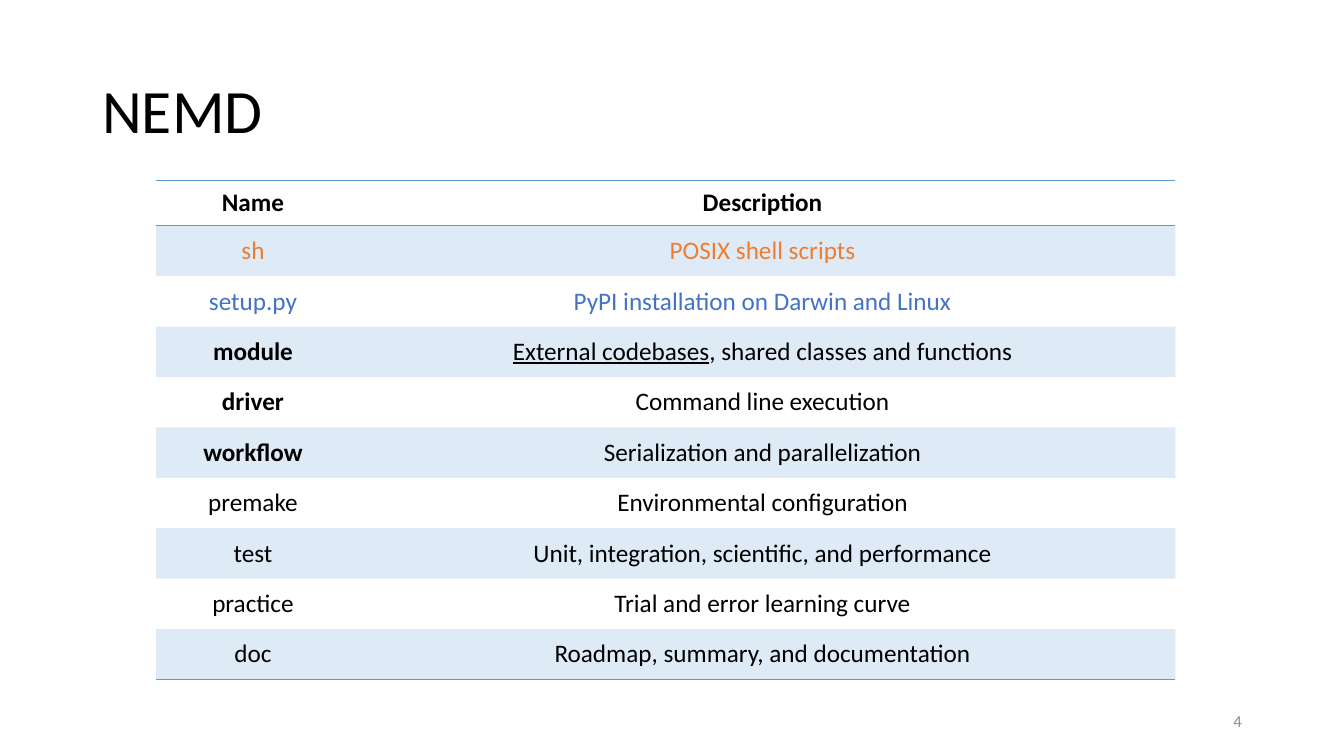
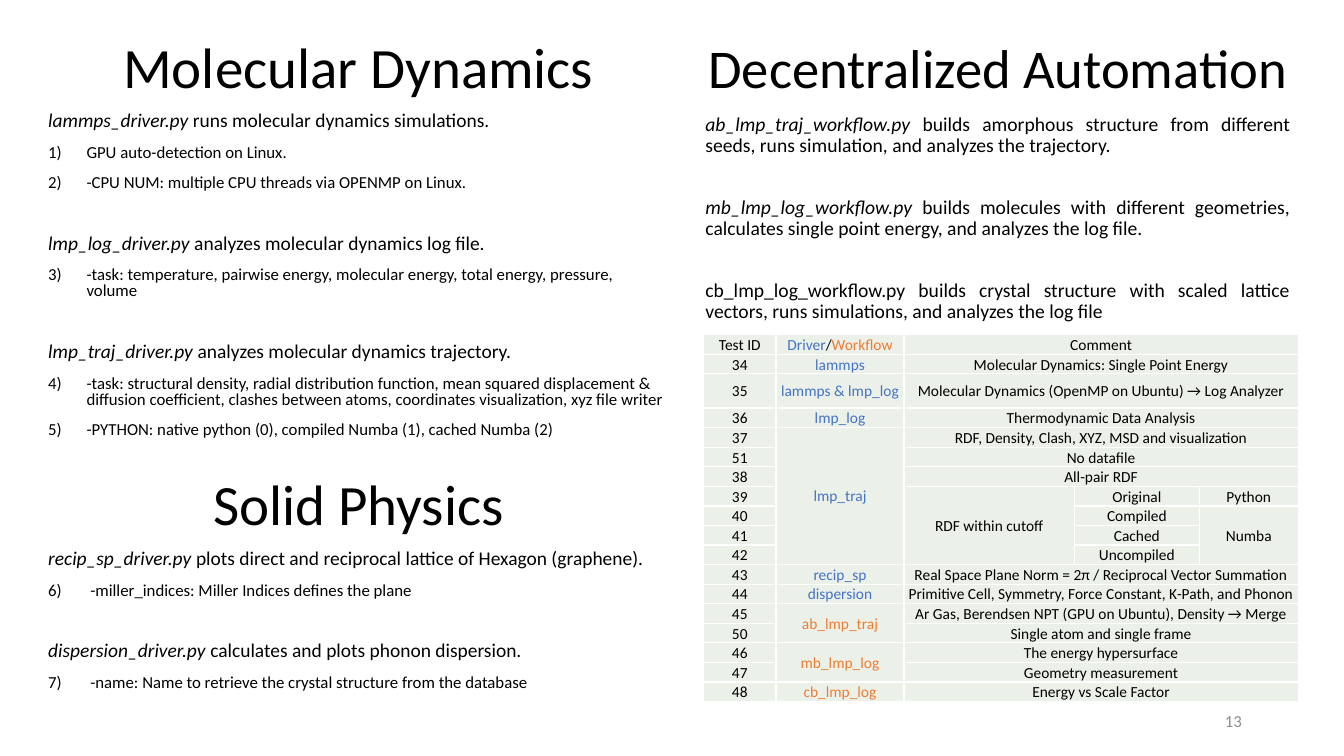
from dataclasses import dataclass
from itertools import takewhile
from typing import NamedTuple, Optional

from lxml import etree
from pptx import Presentation
from pptx.dml import color as dml
from pptx.enum import text as enums
from pptx.oxml import ns
from pptx.util import Pt

FONT = "Calibri"
BLACK, WHITE, GREY = "000000", "FFFFFF", "8C8C8C"
BLUE, ORANGE, SKY, SAGE = "4472C4", "ED7D31", "5B9BD5", "EBF1E9"
NO_STYLE = "{2D5ABB26-0587-4C30-8999-92F81FD0307C}"
ALIGN = enums.PP_ALIGN
MIDDLE = enums.MSO_ANCHOR.MIDDLE
LIST_INDENT = 27.36


class Span(NamedTuple):
    text: str
    color: str = BLACK
    bold: bool = False
    italic: bool = False
    underline: bool = False


class Area(NamedTuple):
    left: float
    top: float
    width: float
    height: float


@dataclass
class Para:
    spans: list[Span]
    size: float
    align: ALIGN = ALIGN.LEFT
    before: float = 10
    number: Optional[int] = None


@dataclass
class CellStyle:
    size: float
    fill: Optional[str] = None
    alpha: Optional[int] = None
    margins: Optional[tuple[float, float, float, float]] = None
    border: str = WHITE
    sides: str = ""


class Part(NamedTuple):
    name: str
    description: list[Span]
    color: str = BLACK
    bold: bool = False


def rgb(value: str) -> dml.RGBColor:
    return dml.RGBColor.from_string(value)


def fill_para(para, content: Para, spacing: float = 1.0) -> None:
    if content.number is not None:
        props = para._p.get_or_add_pPr()
        props.set("marL", str(Pt(LIST_INDENT)))
        props.set("indent", str(-Pt(LIST_INDENT)))
        etree.SubElement(props, ns.qn("a:buAutoNum"), type="arabicParenR",
                         startAt=str(content.number))
    layout = {"alignment": content.align, "line_spacing": spacing,
              "space_before": Pt(content.before)}
    for name, value in layout.items():
        setattr(para, name, value)
    for span in content.spans:
        run = para.add_run()
        run.text = span.text
        look = {"name": FONT, "size": Pt(content.size), "bold": span.bold,
                "italic": span.italic, "underline": span.underline}
        for name, value in look.items():
            setattr(run.font, name, value)
        run.font.color.rgb = rgb(span.color)


def add_text(page, area: Area, paras: list[Para], spacing: float = 1.0,
             anchor=enums.MSO_ANCHOR.TOP) -> None:
    frame = page.shapes.add_textbox(*map(Pt, area)).text_frame
    frame.word_wrap = True
    frame.vertical_anchor = anchor
    for index, content in enumerate(paras):
        para = frame.add_paragraph() if index else frame.paragraphs[0]
        fill_para(para, content, spacing)


def add_page_number(page, number: int) -> None:
    add_text(page, Area(678.24, 500.4, 216, 28.8),
             [Para([Span(str(number), GREY)], 12, ALIGN.RIGHT, 0)], anchor=MIDDLE)


def add_plain_table(page, area: Area, widths: list[float], heights: list[float]):
    """Add a table without banding or built-in borders."""
    frame = page.shapes.add_table(len(heights), len(widths), *map(Pt, area))
    frame.element.find(".//" + ns.qn("a:tableStyleId")).text = NO_STYLE
    table = frame.table
    table.first_row = table.horz_banding = False
    for column, width in zip(table.columns, widths):
        column.width = Pt(width)
    for row, height in zip(table.rows, heights):
        row.height = Pt(height)
    return table


def style_cell(cell, style: CellStyle) -> None:
    cell.vertical_anchor = MIDDLE
    if style.margins:
        for side, value in zip(("left", "top", "right", "bottom"), style.margins):
            setattr(cell, f"margin_{side}", Pt(value))
    props = cell._tc.get_or_add_tcPr()
    for side in style.sides:
        line = etree.SubElement(props, ns.qn(f"a:ln{side}"), w=str(Pt(1)))
        solid = etree.SubElement(line, ns.qn("a:solidFill"))
        etree.SubElement(solid, ns.qn("a:srgbClr"), val=style.border)
    if style.fill is None:
        cell.fill.background()
        return
    cell.fill.solid()
    cell.fill.fore_color.rgb = rgb(style.fill)
    if style.alpha is not None:
        tint = props.find(f"{ns.qn('a:solidFill')}/{ns.qn('a:srgbClr')}")
        etree.SubElement(tint, ns.qn("a:alpha"), val=str(style.alpha * 1000))


def write_cell(cell, spans: list[Span], size: float) -> None:
    fill_para(cell.text_frame.paragraphs[0], Para(spans, size, ALIGN.CENTER, 0))


def plain(name: str, description: str, color: str = BLACK, bold: bool = False) -> Part:
    return Part(name, [Span(description, color)], color, bold)


PARTS = [
    Part("Name", [Span("Description", bold=True)], bold=True),
    plain("sh", "POSIX shell scripts", ORANGE),
    plain("setup.py", "PyPI installation on Darwin and Linux", BLUE),
    Part("module", [Span("External codebases", underline=True),
                    Span(", shared classes and functions")], bold=True),
    plain("driver", "Command line execution", bold=True),
    plain("workflow", "Serialization and parallelization", bold=True),
    plain("premake", "Environmental configuration"),
    plain("test", "Unit, integration, scientific, and performance"),
    plain("practice", "Trial and error learning curve"),
    plain("doc", "Roadmap, summary, and documentation"),
]


def build_overview(page) -> None:
    add_text(page, Area(66, 28.8, 828, 104.4), [Para([Span("NEMD")], 44, before=0)],
             0.9, MIDDLE)
    heights = [32.4] + [36] * (len(PARTS) - 1)
    widths = [138.24, 589.68]
    table = add_plain_table(page, Area(111.6, 128.88, sum(widths), sum(heights)),
                            widths, heights)
    sides = {0: "TB", len(PARTS) - 1: "B"}
    for row, part in enumerate(PARTS):
        banded = row % 2 == 1
        style = CellStyle(18, SKY if banded else None, 20 if banded else None,
                          border=SKY, sides=sides.get(row, ""))
        name = [Span(part.name, part.color, part.bold)]
        for column, spans in enumerate((name, part.description)):
            cell = table.cell(row, column)
            style_cell(cell, style)
            write_cell(cell, spans, style.size)
    add_page_number(page, 4)


def heading(title: str, size: float, before: float = 0) -> Para:
    return Para([Span(title)], size, ALIGN.CENTER, before)


def script_line(script: str, action: str, size: float, before: float = 10,
                align: ALIGN = ALIGN.LEFT) -> Para:
    return Para([Span(script, italic=True), Span(action)], size, align, before)


def option(number: int, label: str) -> Para:
    return Para([Span(label)], 12, number=number)


SECTION_GAP = 31
DRIVERS = [
    heading("Molecular Dynamics", 40.7),
    script_line("lammps_driver.py", " runs molecular dynamics simulations.", 13.9),
    option(1, "GPU auto-detection on Linux."),
    option(2, "-CPU NUM: multiple CPU threads via OPENMP on Linux."),
    script_line("lmp_log_driver.py", " analyzes molecular dynamics log file.", 13.9,
                SECTION_GAP),
    option(3, "-task: temperature, pairwise energy, molecular energy, total energy, "
              "pressure, volume"),
    script_line("lmp_traj_driver.py", " analyzes molecular dynamics trajectory.", 13.9,
                SECTION_GAP),
    option(4, "-task: structural density, radial distribution function, mean squared "
              "displacement & diffusion coefficient, clashes between atoms, "
              "coordinates visualization, xyz file writer"),
    option(5, "-PYTHON: native python (0), compiled Numba (1), cached Numba (2)"),
    heading("Solid Physics", 40.7, SECTION_GAP),
    script_line("recip_sp_driver.py",
                " plots direct and reciprocal lattice of Hexagon (graphene).", 13.9),
    option(6, " -miller_indices: Miller Indices defines the plane"),
    script_line("dispersion_driver.py", " calculates and plots phonon dispersion.", 13.9,
                SECTION_GAP),
    option(7, " -name: Name to retrieve the crystal structure from the database"),
]

WORKFLOW_GAP = 29
WORKFLOWS = [
    heading("Decentralized Automation", 39),
    script_line("ab_lmp_traj_workflow.py",
                " builds amorphous structure from different seeds, runs simulation, "
                "and analyzes the trajectory.", 14, align=ALIGN.JUSTIFY),
    script_line("mb_lmp_log_workflow.py",
                " builds molecules with different geometries, calculates single point "
                "energy, and analyzes the log file.", 14, WORKFLOW_GAP, ALIGN.JUSTIFY),
    Para([Span("cb_lmp_log_workflow.py builds crystal structure with scaled lattice "
               "vectors, runs simulations, and analyzes the log file")],
         14, ALIGN.JUSTIFY, WORKFLOW_GAP),
]

# None continues the cell above; a short row stretches its last cell to the right edge.
TESTS = [
    ("Test ID", "Driver/Workflow", "Comment"),
    ("34", "lammps", "Molecular Dynamics: Single Point Energy"),
    ("35", "lammps & lmp_log", "Molecular Dynamics (OpenMP on Ubuntu) → Log Analyzer"),
    ("36", "lmp_log", "Thermodynamic Data Analysis"),
    ("37", "lmp_traj", "RDF, Density, Clash, XYZ, MSD and visualization"),
    ("51", None, "No datafile"),
    ("38", None, "All-pair RDF"),
    ("39", None, "RDF within cutoff", "Original", "Python"),
    ("40", None, None, "Compiled", "Numba"),
    ("41", None, None, "Cached", None),
    ("42", None, None, "Uncompiled", None),
    ("43", "recip_sp", "Real Space Plane Norm = 2π / Reciprocal Vector Summation"),
    ("44", "dispersion", "Primitive Cell, Symmetry, Force Constant, K-Path, and Phonon"),
    ("45", "ab_lmp_traj", "Ar Gas, Berendsen NPT (GPU on Ubuntu), Density → Merge"),
    ("50", None, "Single atom and single frame"),
    ("46", "mb_lmp_log", "The energy hypersurface"),
    ("47", None, "Geometry measurement"),
    ("48", "cb_lmp_log", "Energy vs Scale Factor"),
]


def test_spans(row: int, column: int, label: str) -> list[Span]:
    """Colour drivers blue and workflows orange in the second column."""
    if column != 1:
        return [Span(label)]
    if row == 0:
        return [Span("Driver", BLUE), Span("/"), Span("Workflow", ORANGE)]
    is_workflow = label.startswith(("ab_", "mb_", "cb_"))
    return [Span(label, ORANGE if is_workflow else BLUE)]


def add_test_table(page) -> None:
    widths = [51.8, 91.4, 121.7, 89.3, 70.6]
    heights = [24.5 if test[0] == "35" else 14 for test in TESTS]
    table = add_plain_table(page, Area(502.56, 239.04, sum(widths), sum(heights)),
                            widths, heights)
    style = CellStyle(11, SAGE, margins=(0.72, 0.72, 0.72, 0), sides="LRTB")
    for cell in table.iter_cells():
        style_cell(cell, style)
    for row, test in enumerate(TESTS):
        for column, label in enumerate(test):
            if label is None:
                continue
            below = takewhile(lambda later: len(later) > column and later[column] is None,
                              TESTS[row + 1:])
            last_row = row + len(list(below))
            last_column = len(widths) - 1 if column == len(test) - 1 else column
            cell = table.cell(row, column)
            if (last_row, last_column) != (row, column):
                cell.merge(table.cell(last_row, last_column))
            write_cell(cell, test_spans(row, column, label), style.size)


def build_applications(page) -> None:
    add_text(page, Area(27.36, 28.08, 457.2, 486.72), DRIVERS, 0.8)
    add_test_table(page)
    add_text(page, Area(496.8, 26.1, 432, 208), WORKFLOWS, 0.9)
    add_page_number(page, 13)


def main() -> None:
    deck = Presentation()
    deck.slide_width, deck.slide_height = Pt(960), Pt(540)
    for build in (build_overview, build_applications):
        build(deck.slides.add_slide(deck.slide_layouts[6]))
    deck.save("out.pptx")


if __name__ == "__main__":
    main()
